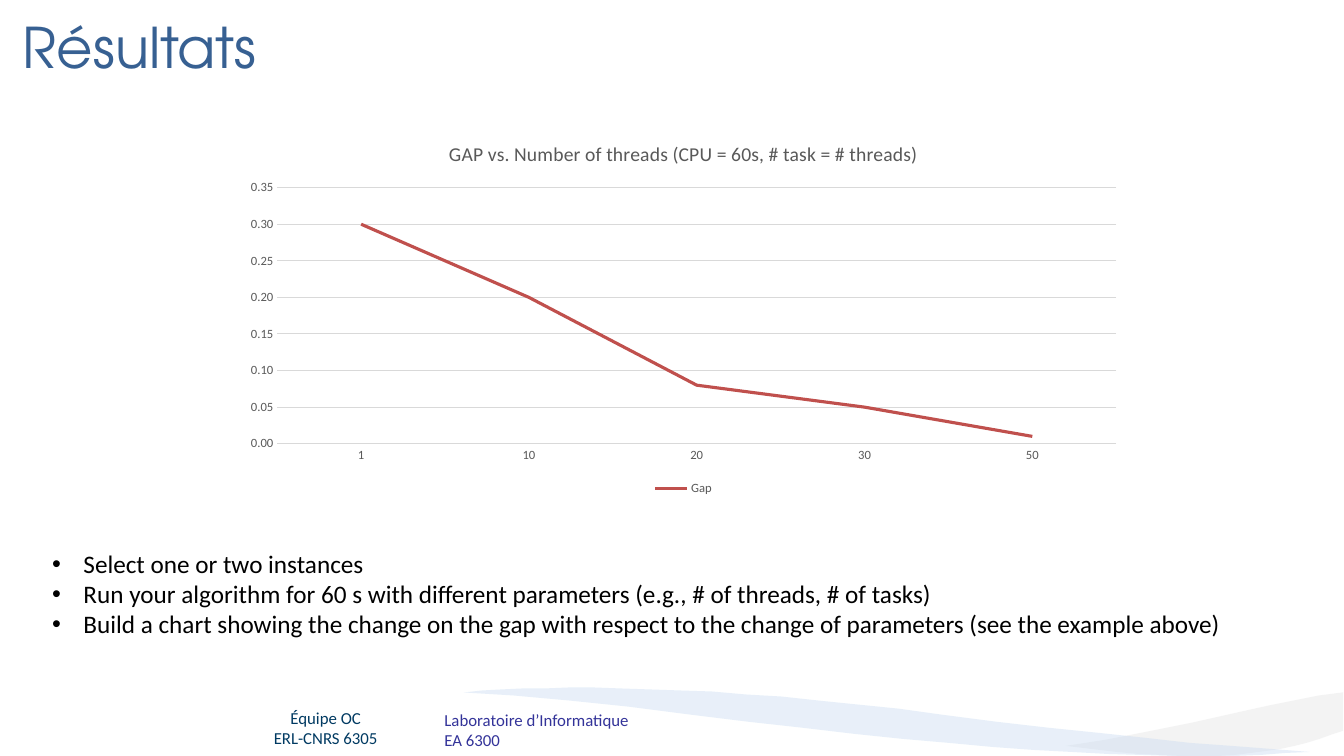
from lxml import etree
from pptx import Presentation
from pptx.chart.data import CategoryChartData
from pptx.dml.color import RGBColor
from pptx.enum.chart import XL_CHART_TYPE, XL_LEGEND_POSITION, XL_MARKER_STYLE, XL_TICK_MARK
from pptx.enum.text import MSO_ANCHOR, PP_ALIGN
from pptx.oxml.ns import qn
from pptx.util import Inches, Pt

LINE = XL_CHART_TYPE.LINE
BOTTOM = XL_LEGEND_POSITION.BOTTOM
NO_MARKER = XL_MARKER_STYLE.NONE
NO_TICK = XL_TICK_MARK.NONE
TOP, MIDDLE = MSO_ANCHOR.TOP, MSO_ANCHOR.MIDDLE
LEFT, CENTER = PP_ALIGN.LEFT, PP_ALIGN.CENTER

BLACK = RGBColor(0x00, 0x00, 0x00)
TITLE_BLUE = RGBColor(0x37, 0x60, 0x92)
TEAM_BLUE = RGBColor(0x00, 0x3A, 0x62)
LAB_BLUE = RGBColor(0x33, 0x33, 0x99)
WAVE_BLUE = RGBColor(0xC6, 0xD9, 0xF1)
GRID_GRAY = RGBColor(0xD9, 0xD9, 0xD9)
LABEL_GRAY = RGBColor(0x59, 0x59, 0x59)
GAP_RED = RGBColor(0xC0, 0x50, 0x4D)

GRAY_WAVE = [
    (1331, 687), (1308, 690), (1283, 695), (1258, 700), (1231, 706),
    (1182, 717), (1137, 726), (1096, 734), (1057, 740), (1082, 743),
    (1107, 746), (1129, 748), (1151, 749), (1171, 750), (1208, 750),
    (1225, 749), (1241, 747), (1256, 745), (1270, 743), (1284, 740),
    (1296, 737), (1309, 733), (1320, 729), (1332, 725), (1332, 687),
]
BLUE_WAVE = [
    (1299, 746), (1261, 743), (1222, 740), (1180, 737), (1136, 732),
    (1089, 727), (1040, 722), (988, 716), (934, 709), (891, 703),
    (851, 699), (812, 695), (775, 691), (740, 689), (706, 686),
    (675, 685), (645, 684), (616, 683), (589, 682), (564, 682),
    (540, 683), (518, 683), (497, 684), (478, 685), (460, 687),
    (510, 690), (565, 695), (623, 701), (685, 709), (742, 716),
    (796, 722), (847, 728), (895, 733), (941, 737), (984, 741),
    (1025, 744), (1063, 746), (1099, 748), (1133, 749), (1165, 750),
    (1223, 750), (1250, 749), (1275, 747),
]


class SlideBuilder:
    font_name = "Calibri"
    heading_font = "TeX Gyre Adventor"

    def __init__(self, presentation):
        self.slide = presentation.slides.add_slide(presentation.slide_layouts[6])

    def style(self, font, size, color, name=None):
        font.name = name or self.font_name
        font.size = Pt(size)
        font.bold = False
        font.color.rgb = color

    def text(self, box, lines, size, color, name=None, align=LEFT,
             anchor=TOP, wrap=True, bullets=False):
        shape = self.slide.shapes.add_textbox(*map(Inches, box))
        frame = shape.text_frame
        frame.word_wrap = wrap
        frame.vertical_anchor = anchor
        frame.text = "\n".join(lines)
        for paragraph in frame.paragraphs:
            paragraph.alignment = align
            for run in paragraph.runs:
                self.style(run.font, size, color, name)
            if bullets:
                self.bullet(paragraph)

    def bullet(self, paragraph):
        properties = paragraph._p.get_or_add_pPr()
        properties.set("marL", str(Inches(0.31)))
        properties.set("indent", str(Inches(-0.31)))
        etree.SubElement(properties, qn("a:buFont")).set("typeface", "Arial")
        etree.SubElement(properties, qn("a:buChar")).set("char", "•")

    def wave(self, points, color, opacity):
        builder = self.slide.shapes.build_freeform(*points[0], scale=Inches(0.01))
        builder.add_line_segments(points[1:], close=True)
        shape = builder.convert_to_shape()
        shape.shadow.inherit = False
        shape.fill.solid()
        shape.fill.fore_color.rgb = color
        shape.line.fill.background()
        color_element = shape._element.spPr.find(qn("a:solidFill"))[0]
        etree.SubElement(color_element, qn("a:alpha")).set("val", str(opacity * 1000))

    def line_chart(self, box, title, categories, series_name, values):
        data = CategoryChartData(number_format="#,##0.00")
        data.categories = categories
        data.add_series(series_name, values)
        chart = self.slide.shapes.add_chart(LINE, *map(Inches, box), data).chart
        self.style(chart.font, 10, BLACK)
        chart.has_title = True
        chart.chart_title.include_in_layout = False
        paragraph = chart.chart_title.text_frame.paragraphs[0]
        paragraph.text = title
        self.style(paragraph.runs[0].font, 14, LABEL_GRAY)
        chart.has_legend = True
        chart.legend.position = BOTTOM
        chart.legend.include_in_layout = False
        self.style(chart.legend.font, 9, LABEL_GRAY)
        for axis in (chart.category_axis, chart.value_axis):
            axis.major_tick_mark = axis.minor_tick_mark = NO_TICK
            self.style(axis.tick_labels.font, 9, LABEL_GRAY)
        self.stroke(chart.category_axis.format.line, GRID_GRAY, 0.75)
        value_axis = chart.value_axis
        value_axis.minimum_scale = 0
        value_axis.maximum_scale = 0.35
        value_axis.major_unit = 0.05
        value_axis.tick_labels.number_format = "#,##0.00"
        value_axis.tick_labels.number_format_is_linked = False
        value_axis.format.line.fill.background()
        self.stroke(value_axis.major_gridlines.format.line, GRID_GRAY, 0.75)
        plot = chart.plots[0]
        plot.vary_by_categories = False
        series = plot.series[0]
        series.smooth = False
        series.marker.style = NO_MARKER
        self.stroke(series.format.line, GAP_RED, 2.25)

    def stroke(self, line, color, width):
        line.color.rgb = color
        line.width = Pt(width)


presentation = Presentation()
presentation.slide_width = Inches(13.33)
presentation.slide_height = Inches(7.5)
builder = SlideBuilder(presentation)

builder.text((2.59, 6.97, 1.28, 0.5), ["Équipe OC", "ERL-CNRS 6305"], 12,
             TEAM_BLUE, align=CENTER, wrap=False)
builder.text((4.31, 6.99, 2.05, 0.5), ["Laboratoire d’Informatique", "EA 6300"], 12,
             LAB_BLUE, wrap=False)
builder.wave(GRAY_WAVE, GRID_GRAY, 29)
builder.wave(BLUE_WAVE, WAVE_BLUE, 40)
builder.text((0.13, 0.16, 13.03, 0.59), ["Résultats"], 40, TITLE_BLUE,
             name=builder.heading_font, anchor=MIDDLE)
builder.text((0.42, 5.39, 12.44, 1.01), [
    "Select one or two instances",
    "Run your algorithm for 60 s with different parameters (e.g., # of threads, # of tasks)",
    "Build a chart showing the change on the gap with respect to the change of parameters "
    "(see the example above)",
], 18, BLACK, bullets=True)
builder.line_chart((2.31, 1.23, 8.94, 3.73),
                   "GAP vs. Number of threads (CPU = 60s, # task = # threads)",
                   ["1", "10", "20", "30", "50"], "Gap", [0.3, 0.2, 0.08, 0.05, 0.01])

presentation.save("out.pptx")
